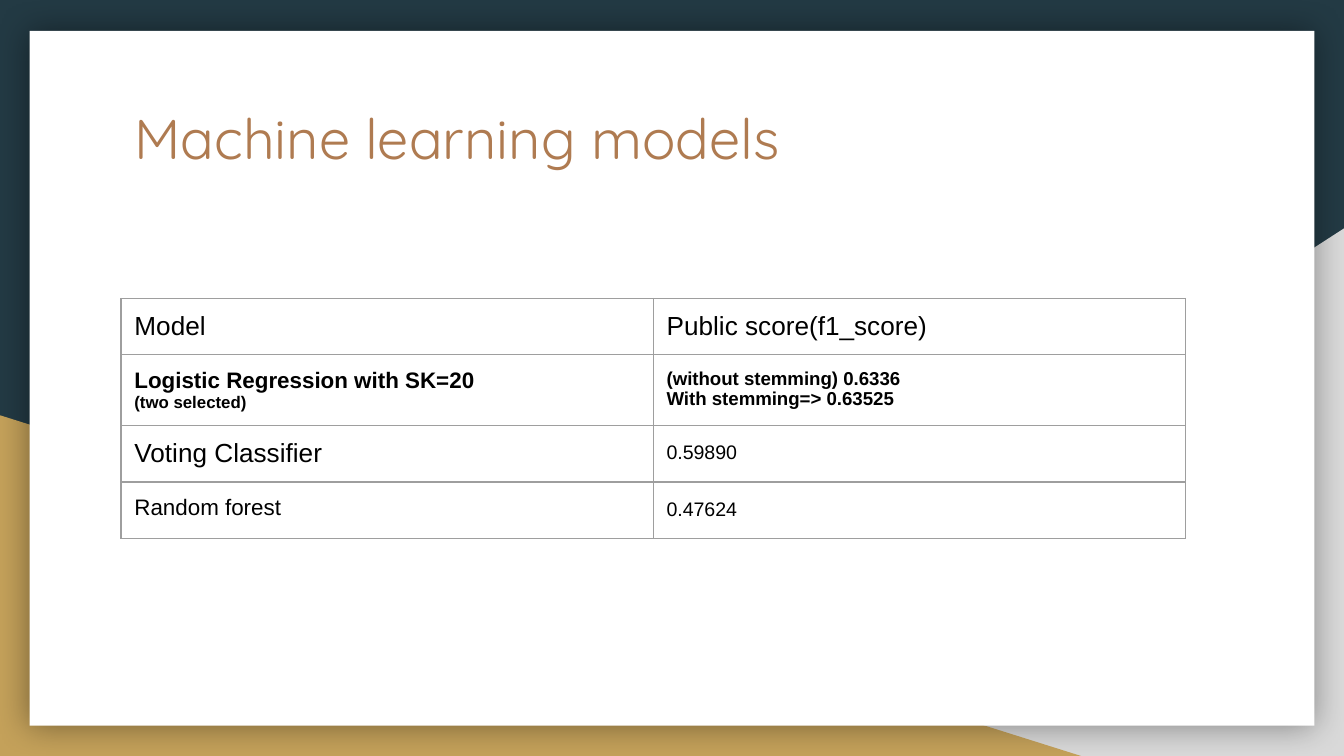
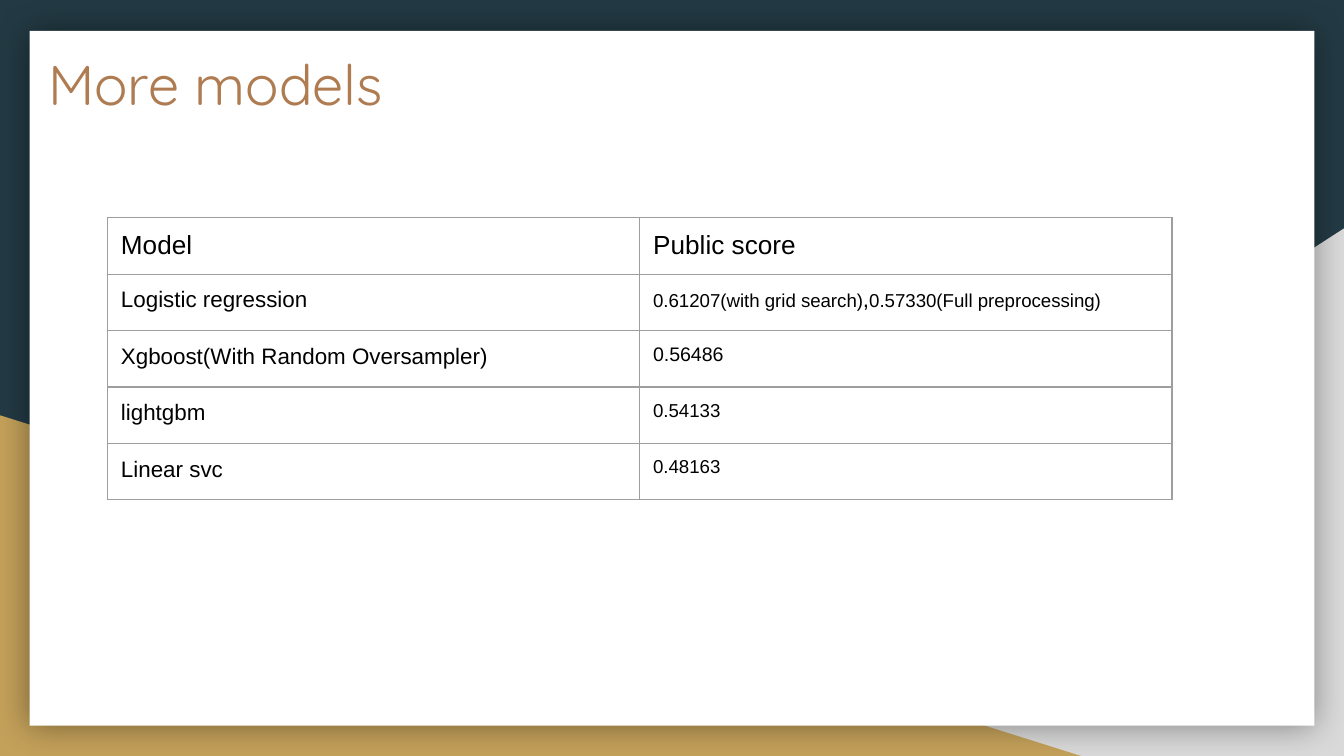
from dataclasses import dataclass

from lxml import etree
from pptx import Presentation
from pptx.dml.color import RGBColor
from pptx.enum.shapes import MSO_SHAPE
from pptx.enum.text import MSO_ANCHOR, MSO_AUTO_SIZE, PP_ALIGN
from pptx.oxml.ns import qn
from pptx.util import Inches, Pt

RECTANGLE = MSO_SHAPE.RECTANGLE
TRIANGLE = MSO_SHAPE.RIGHT_TRIANGLE
TOP = MSO_ANCHOR.TOP
LEFT = PP_ALIGN.LEFT
NO_AUTOFIT = MSO_AUTO_SIZE.NONE

COLORS = {
    "background": "233A44",
    "gray": "D9D9D9",
    "gold": "C4A15A",
    "panel": "FFFFFF",
    "shadow": "000000",
    "title": "AF7B51",
    "text": "000000",
    "border": "9E9E9E",
}
SLIDE_WIDTH = Inches(10)
SLIDE_HEIGHT = SLIDE_WIDTH * 9 // 16
TITLE_FONT, TABLE_FONT = "Quicksand", "Arial"
TITLE_SIZE = 30
TITLE_WIDTH = 8.21
COLUMN_WIDTH = 3.96
ROW_HEIGHT = 0.42
MARGIN = Inches(0.1)
BORDER_WIDTH = Pt(0.75)
TITLE_ONLY_LAYOUT = 5


@dataclass(frozen=True)
class Decoration:
    kind: MSO_SHAPE
    box: tuple[float, float, float, float]
    color: str
    flipped: bool = False
    shadowed: bool = False


@dataclass(frozen=True)
class Run:
    text: str
    size: float
    bold: bool = False


@dataclass(frozen=True)
class Cell:
    paragraphs: list[list[Run]]
    line_spacing: float = 1.0


@dataclass(frozen=True)
class ModelSlide:
    title: str
    title_box: tuple[float, float, float, float]
    table_corner: tuple[float, float]
    rows: list[tuple[Cell, Cell]]


def line(text: str, size: float, line_spacing: float = 1.0) -> Cell:
    """Cell with a single plain run."""
    return Cell([[Run(text, size)]], line_spacing)


DECORATIONS = [
    Decoration(TRIANGLE, (3.92, 1.7, 6.08, 3.93), "gray", flipped=True),
    Decoration(TRIANGLE, (0, 3.09, 8.06, 2.54), "gold"),
    Decoration(RECTANGLE, (0.22, 0.23, 9.56, 5.17), "panel", shadowed=True),
]

SLIDES = [
    ModelSlide(
        "Machine learning models",
        (0.9, 0.67, TITLE_WIDTH, 1.04),
        (0.9, 2.22),
        [
            (line("Model", 14), line("Public score(f1_score)", 14)),
            (
                Cell([[Run("Logistic Regression with SK=20", 12, True)],
                      [Run("(two selected)", 9, True)]]),
                Cell([[Run("(without stemming) 0.6336", 10, True)],
                      [Run("With stemming=> ", 10, True), Run("0.63525", 10, True)]]),
            ),
            (line("Voting Classifier", 14), line("0.59890", 10.5, 1.15)),
            (line("Random forest", 12), line("0.47624", 10.5, 1.15)),
        ],
    ),
    ModelSlide(
        "More models",
        (0.26, 0.27, TITLE_WIDTH, 0.64),
        (0.8, 1.62),
        [
            (line("Model", 14), line("Public score", 14)),
            (
                line("Logistic regression", 12),
                Cell([[Run("0.61207(with grid search)", 10), Run(",", 12),
                       Run("0.57330(Full preprocessing)", 10)]]),
            ),
            (line("Xgboost(With Random Oversampler)", 12), line("0.56486", 10.5)),
            (line("lightgbm", 12), line("0.54133", 10)),
            (line("Linear svc", 12), line("0.48163", 10)),
        ],
    ),
]


def rgb(name: str) -> RGBColor:
    return RGBColor.from_string(COLORS[name])


def set_margins(target) -> None:
    target.margin_left = target.margin_right = MARGIN
    target.margin_top = target.margin_bottom = MARGIN


def add_run(paragraph, run: Run, font_name: str, color: str) -> None:
    text_run = paragraph.add_run()
    text_run.text = run.text
    font = text_run.font
    font.name = font_name
    font.size = Pt(run.size)
    font.bold = run.bold
    font.color.rgb = rgb(color)


# Shared background
def add_soft_shadow(shape) -> None:
    effects = shape._element.spPr.find(qn("a:effectLst"))
    shadow = etree.SubElement(effects, qn("a:outerShdw"), blurRad=str(Pt(18)),
                              dist="0", dir="0", algn="ctr", rotWithShape="0")
    color = etree.SubElement(shadow, qn("a:srgbClr"), val=COLORS["shadow"])
    etree.SubElement(color, qn("a:alpha"), val="40000")


def decorate_layout(layout, slide) -> None:
    """Draw the decorations on a slide and move them behind the layout's text."""
    layout.background.fill.solid()
    layout.background.fill.fore_color.rgb = rgb("background")
    for index, decoration in enumerate(DECORATIONS):
        shape = slide.shapes.add_shape(decoration.kind, *map(Inches, decoration.box))
        shape.fill.solid()
        shape.fill.fore_color.rgb = rgb(decoration.color)
        shape.line.fill.background()
        shape.shadow.inherit = False
        if decoration.flipped:
            shape._element.spPr.xfrm.set("flipH", "1")
        if decoration.shadowed:
            add_soft_shadow(shape)
        shape._element.nvSpPr.cNvPr.set("id", str(100 + index))
        layout.shapes._spTree.insert(2 + index, shape._element)


# Title
def fill_title(slide, model_slide: ModelSlide) -> None:
    title = slide.shapes.title
    title.left, title.top, title.width, title.height = map(Inches, model_slide.title_box)
    frame = title.text_frame
    set_margins(frame)
    frame.word_wrap = True
    frame.auto_size = NO_AUTOFIT
    frame.vertical_anchor = TOP
    paragraph = frame.paragraphs[0]
    paragraph.alignment = LEFT
    add_run(paragraph, Run(model_slide.title, TITLE_SIZE), TITLE_FONT, "title")


# Table
def add_borders(table_cell) -> None:
    properties = table_cell._tc.get_or_add_tcPr()
    for index, side in enumerate(("a:lnL", "a:lnR", "a:lnT", "a:lnB")):
        border = etree.Element(qn(side), w=str(BORDER_WIDTH))
        fill = etree.SubElement(border, qn("a:solidFill"))
        etree.SubElement(fill, qn("a:srgbClr"), val=COLORS["border"])
        properties.insert(index, border)


def fill_cell(table_cell, cell: Cell) -> None:
    set_margins(table_cell)
    table_cell.vertical_anchor = TOP
    table_cell.fill.background()
    add_borders(table_cell)
    frame = table_cell.text_frame
    for index, runs in enumerate(cell.paragraphs):
        paragraph = frame.add_paragraph() if index else frame.paragraphs[0]
        paragraph.line_spacing = cell.line_spacing
        for run in runs:
            add_run(paragraph, run, TABLE_FONT, "text")


def add_score_table(slide, model_slide: ModelSlide) -> None:
    rows = model_slide.rows
    left, top = map(Inches, model_slide.table_corner)
    columns = len(rows[0])
    table = slide.shapes.add_table(
        len(rows), columns, left, top,
        Inches(COLUMN_WIDTH * columns), Inches(ROW_HEIGHT * len(rows)),
    ).table
    table.first_row = table.horz_banding = False
    for column in table.columns:
        column.width = Inches(COLUMN_WIDTH)
    for row_index, row in enumerate(rows):
        table.rows[row_index].height = Inches(ROW_HEIGHT)
        for column_index, cell in enumerate(row):
            fill_cell(table.cell(row_index, column_index), cell)


def main() -> None:
    presentation = Presentation()
    presentation.slide_width = SLIDE_WIDTH
    presentation.slide_height = SLIDE_HEIGHT
    layout = presentation.slide_layouts[TITLE_ONLY_LAYOUT]
    slides = [presentation.slides.add_slide(layout) for _ in SLIDES]
    decorate_layout(layout, slides[0])
    for slide, model_slide in zip(slides, SLIDES):
        fill_title(slide, model_slide)
        add_score_table(slide, model_slide)
    presentation.save("out.pptx")


if __name__ == "__main__":
    main()
